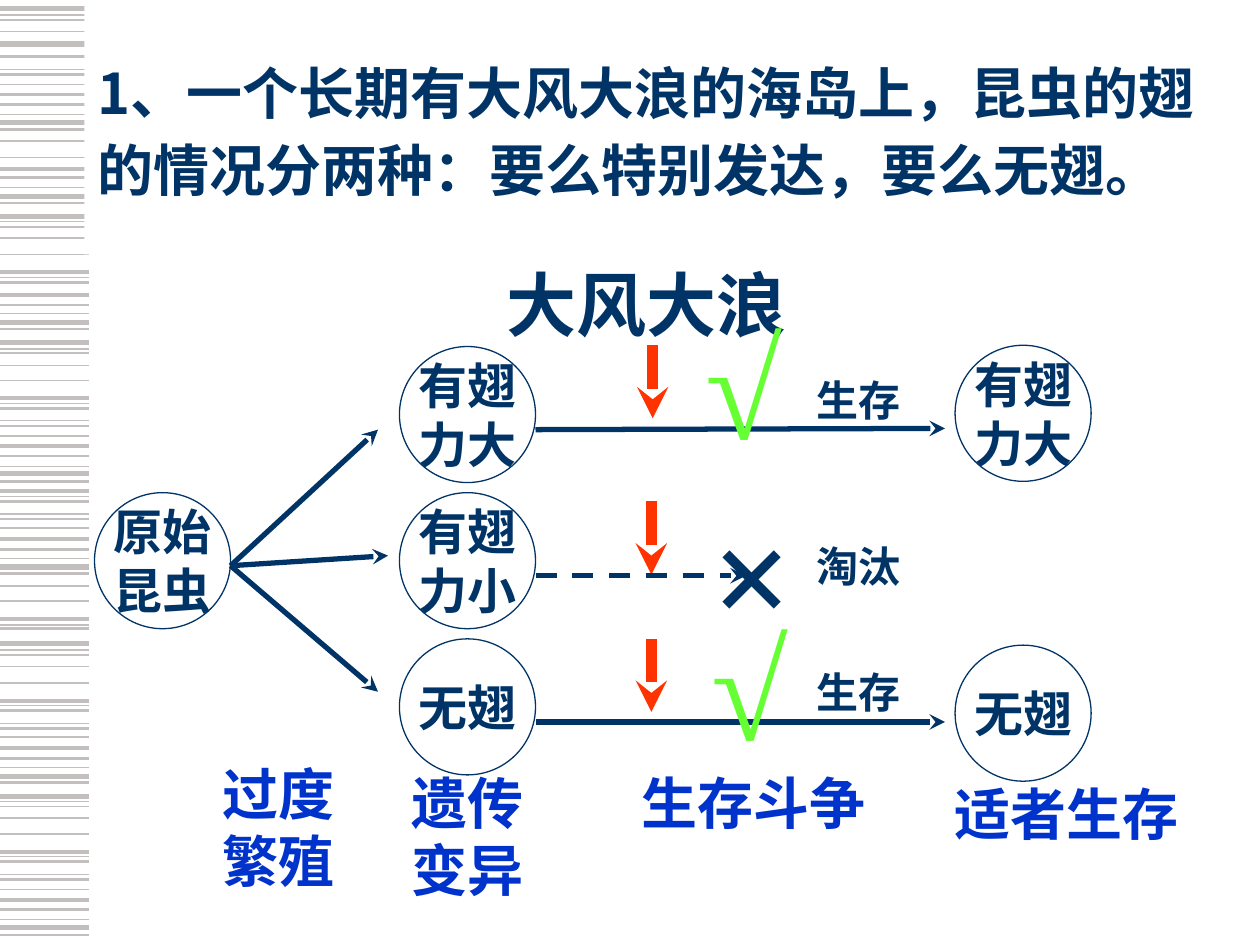
from dataclasses import dataclass

from lxml import etree
from pptx import Presentation
from pptx.dml.color import RGBColor
from pptx.enum.dml import MSO_LINE
from pptx.enum.shapes import MSO_CONNECTOR, MSO_SHAPE
from pptx.enum.text import MSO_ANCHOR, MSO_AUTO_SIZE, PP_ALIGN
from pptx.oxml.ns import qn
from pptx.util import Inches, Pt

STRAIGHT, OVAL = MSO_CONNECTOR.STRAIGHT, MSO_SHAPE.OVAL
DASH = MSO_LINE.DASH
MIDDLE, LEFT, CENTER = MSO_ANCHOR.MIDDLE, PP_ALIGN.LEFT, PP_ALIGN.CENTER
GROW, FIXED = MSO_AUTO_SIZE.SHAPE_TO_FIT_TEXT, MSO_AUTO_SIZE.NONE


@dataclass(frozen=True)
class Theme:
    navy: RGBColor = RGBColor(0x00, 0x33, 0x66)
    blue: RGBColor = RGBColor(0x00, 0x33, 0xCC)
    red: RGBColor = RGBColor(0xFF, 0x33, 0x00)
    green: RGBColor = RGBColor(0x66, 0xFF, 0x33)
    stripe: RGBColor = RGBColor(0xC3, 0xBF, 0xBF)
    white: RGBColor = RGBColor(0xFF, 0xFF, 0xFF)
    title_font: str = "Noto Sans CJK SC"
    body_font: str = "Times New Roman"
    title: int = 32
    stage: int = 32
    circle: int = 28
    fate: int = 24
    wind: int = 40
    mark: int = 80


theme = Theme()
prs = Presentation()
prs.slide_width, prs.slide_height = Inches(10), Inches(7.5)
s = prs.slides.add_slide(prs.slide_layouts[5])


def add_line(x1, y1, x2, y2, color, width, arrow=True):
    line = s.shapes.add_connector(
        STRAIGHT, Inches(x1), Inches(y1), Inches(x2), Inches(y2))
    line.line.color.rgb = color
    line.line.width = Pt(width)
    etree.SubElement(line._element.spPr, qn("a:effectLst"))
    if arrow:
        etree.SubElement(line.line._get_or_add_ln(), qn("a:tailEnd"), type="stealth")
    return line


def set_text(sp, text, size, color, font=theme.body_font, align=LEFT):
    tf = sp.text_frame
    tf.text = text
    for p in tf.paragraphs:
        p.alignment = align
        p.font.name, p.font.size, p.font.bold = font, Pt(size), True
        p.font.color.rgb = color
    return tf


# Striped left margin: line weight -> heights
stripes = {
    0.75: [0.12, 0.55, 0.91, 1.49, 1.76, 2.2, 2.49, 2.77, 3.2, 3.34, 3.7, 3.94,
           4.08, 4.43, 4.96, 5.16, 5.6, 5.74, 6.09, 6.36, 6.8, 6.94, 7.3],
    1: [0.16, 0.25, 0.67, 1.12, 1.25, 1.8, 1.89, 2.02, 2.8, 2.9, 3.02, 3.46,
        4.19, 4.65, 4.77, 5.2, 5.29, 5.42, 5.85, 6.4, 6.49, 6.62, 7.06],
    1.5: [0.45, 0.59, 0.83, 1.03, 1.41, 1.61, 2.24, 2.42, 2.61, 3.24, 3.38,
          3.62, 3.82, 3.98, 4.12, 4.36, 4.55, 4.99, 5.64, 5.78, 6.02, 6.21,
          6.84, 6.98, 7.22, 7.42],
    2.25: [0.75, 1.34, 2.16, 2.34, 3.16, 3.54, 3.9, 4.28, 4.91, 5.56, 5.94,
           6.76, 7.14],
    3: [0.07, 0.35, 0.97, 1.56, 1.72, 2.56, 2.72, 3.76, 4.5, 5.11, 6.16, 6.32,
        7.36],
}
for weight, heights in stripes.items():
    for y in heights:
        add_line(0, y, 0.71, y, theme.stripe, weight, arrow=False)

# Title, placed in front of the stripes
title = s.shapes.title
s.shapes._spTree.append(title._element)
title.left, title.top = Inches(0.67), Inches(-0.03)
title.width, title.height = Inches(9.09), Inches(2.05)
title.fill.solid()
title.fill.fore_color.rgb = theme.white
tf = set_text(title, "1、一个长期有大风大浪的海岛上，昆虫的翅的情况分两种：要么特别发达，要么无翅。",
              theme.title, theme.navy, theme.title_font)
tf.vertical_anchor, tf.auto_size, tf.word_wrap = MIDDLE, FIXED, True
tf.paragraphs[0].line_spacing = 1.15

# Insect types
circles = [
    (0.75, 3.91, "原始\n昆虫"),
    (3.17, 2.75, "有翅\n力大"),
    (3.17, 3.91, "有翅\n力小"),
    (3.17, 5.07, "无翅"),
    (7.58, 2.74, "有翅\n力大"),
    (7.58, 5.12, "无翅"),
]
for x, y, text in circles:
    sp = s.shapes.add_shape(OVAL, Inches(x), Inches(y), Inches(1.08), Inches(1.08))
    sp.shadow.inherit = False
    sp.fill.background()
    sp.line.color.rgb = theme.navy
    sp.line.width = Pt(0.75)
    tf = set_text(sp, text, theme.circle, theme.navy, align=CENTER)
    tf.vertical_anchor, tf.word_wrap = MIDDLE, False

# Variation, wind pressure and survival arrows
for x, y in [(3, 3.41), (3.08, 4.41), (3, 5.49)]:
    add_line(1.83, 4.49, x, y, theme.navy, 3)
add_line(4.25, 3.41, 7.5, 3.4, theme.navy, 3)
add_line(4.25, 5.73, 7.5, 5.73, theme.navy, 3)
for x, y in [(5.18, 2.74), (5.17, 3.98), (5.17, 5.07)]:
    add_line(x, y, x, y + 0.58, theme.red, 6)
add_line(4.25, 4.57, 5.92, 4.57, theme.navy, 3).line.dash_style = DASH

# Labels: left, top, width, height, text, size, colour, wrap
labels = [
    (3.92, 2.03, 2.58, 0.77, "大风大浪", theme.wind, theme.navy, True),
    (6.38, 2.92, 0.87, 0.5, "生存", theme.fate, theme.navy, False),
    (6.38, 4.24, 0.87, 0.5, "淘汰", theme.fate, theme.navy, False),
    (6.38, 5.24, 0.87, 0.5, "生存", theme.fate, theme.navy, False),
    (5.5, 2.33, 1.32, 1.43, "√", theme.mark, theme.green, False),
    (5.56, 3.81, 1.32, 1.43, "×", theme.mark, theme.navy, False),
    (5.55, 4.72, 1.32, 1.43, "√", theme.mark, theme.green, False),
    (1.67, 5.98, 1.25, 1.17, "过度繁殖", theme.stage, theme.blue, True),
    (3.17, 6.05, 1.17, 1.17, "遗传\n变异", theme.stage, theme.blue, True),
    (4.99, 6.05, 2.06, 0.63, "生存斗争", theme.stage, theme.blue, True),
    (7.48, 6.14, 2.09, 0.63, "适者生存", theme.stage, theme.blue, True),
]
for x, y, w, h, text, size, color, wrap in labels:
    sp = s.shapes.add_textbox(Inches(x), Inches(y), Inches(w), Inches(h))
    tf = set_text(sp, text, size, color)
    tf.word_wrap, tf.auto_size = wrap, GROW

prs.save("out.pptx")
